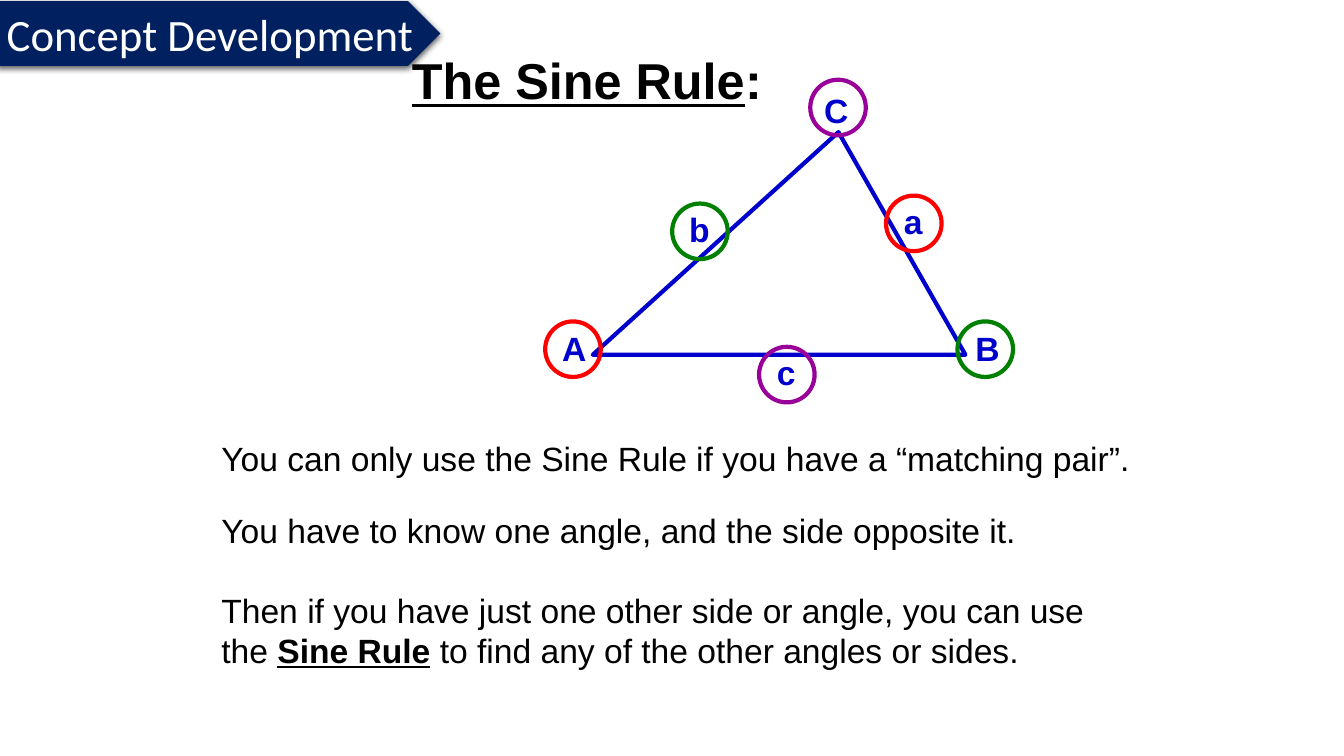
import pptx
import pptx.dml.color
import pptx.enum.shapes
import pptx.enum.text
import pptx.oxml
import pptx.oxml.ns
import pptx.util
from pptx.util import Cm

RGBColor = pptx.dml.color.RGBColor
BLACK = RGBColor(0x00, 0x00, 0x00)
WHITE = RGBColor(0xFF, 0xFF, 0xFF)
BLUE = RGBColor(0x00, 0x00, 0xCC)
NAVY = RGBColor(0x00, 0x20, 0x60)
RED = RGBColor(0xFF, 0x00, 0x00)
GREEN = RGBColor(0x00, 0x80, 0x00)
PURPLE = RGBColor(0x99, 0x00, 0x99)

BANNER_SHADOW = (
    f'<a:outerShdw {pptx.oxml.ns.nsdecls("a")} blurRad="57150" dist="19050" '
    'dir="5400000" algn="ctr" rotWithShape="0"><a:srgbClr val="000000">'
    '<a:alpha val="63000"/></a:srgbClr></a:outerShdw>'
)


class SlideBuilder:
    font_name = "Arial"
    line_width = pptx.util.Pt(3)
    circle_size = Cm(1.4)

    def __init__(self, slide):
        self.slide = slide

    def add_runs(self, paragraph, runs, size, color, font_name=None):
        """Each run is (text, bold, underline)."""
        for text, bold, underline in runs:
            run = paragraph.add_run()
            run.text = text
            font = run.font
            font.name = font_name or self.font_name
            font.size = pptx.util.Pt(size)
            font.bold = bold
            font.underline = underline
            font.color.rgb = color

    def text(self, left, top, width, height, runs, size=24, color=BLACK, wrap=True):
        box = self.slide.shapes.add_textbox(Cm(left), Cm(top), Cm(width), Cm(height))
        box.text_frame.word_wrap = wrap
        self.add_runs(box.text_frame.paragraphs[0], runs, size, color)

    def outline(self, shape, color):
        shape.shadow.inherit = False
        shape.fill.background()
        shape.line.color.rgb = color
        shape.line.width = self.line_width

    def polygon(self, points, color):
        corners = [(Cm(x), Cm(y)) for x, y in points]
        builder = self.slide.shapes.build_freeform(*corners[0])
        builder.add_line_segments(corners[1:], close=True)
        shape = builder.convert_to_shape()
        self.outline(shape, color)
        line = shape._element.spPr.find(pptx.oxml.ns.qn("a:ln"))
        line.append(pptx.oxml.parse_xml(f'<a:round {pptx.oxml.ns.nsdecls("a")}/>'))

    def circle(self, left, top, color):
        shape = self.slide.shapes.add_shape(
            pptx.enum.shapes.MSO_SHAPE.OVAL,
            Cm(left), Cm(top), self.circle_size, self.circle_size)
        self.outline(shape, color)

    def banner(self, left, top, width, height, text):
        shape = self.slide.shapes.add_shape(
            pptx.enum.shapes.MSO_SHAPE.PENTAGON,
            Cm(left), Cm(top), Cm(width), Cm(height))
        shape.shadow.inherit = False
        effects = shape._element.spPr.find(pptx.oxml.ns.qn("a:effectLst"))
        effects.append(pptx.oxml.parse_xml(BANNER_SHADOW))
        shape.fill.solid()
        shape.fill.fore_color.rgb = NAVY
        shape.line.fill.background()
        shape.text_frame.word_wrap = False
        paragraph = shape.text_frame.paragraphs[0]
        paragraph.alignment = pptx.enum.text.PP_ALIGN.LEFT
        self.add_runs(paragraph, [(text, False, False)], 32, WHITE, "Calibri")


def main():
    presentation = pptx.Presentation()
    presentation.slide_width = Cm(33.87)
    presentation.slide_height = Cm(19.05)
    builder = SlideBuilder(presentation.slides.add_slide(presentation.slide_layouts[6]))

    # Title
    builder.text(10.13, 1.12, 12.8, 1.78,
                 [("The Sine Rule", True, True), (":", True, False)], size=36)

    # Triangle
    builder.polygon([(14.94, 8.94), (24.33, 8.94), (21.13, 3.33)], BLUE)

    # Angles and sides: name, label left, top and width, circle left and top, colour
    parts = [
        ("A", 13.92, 8.13, 1.4, 13.74, 8.1, RED),
        ("B", 24.33, 8.13, 1.4, 24.13, 8.1, GREEN),
        ("C", 20.52, 2.13, 1.4, 20.42, 2.01, PURPLE),
        ("a", 22.53, 4.93, 1.0, 22.33, 4.93, RED),
        ("b", 17.12, 5.13, 1.0, 16.94, 5.13, GREEN),
        ("c", 19.33, 8.74, 1.0, 19.13, 8.74, PURPLE),
    ]
    for name, left, top, width, *_ in parts:
        builder.text(left, top, width, 1.27, [(name, True, False)],
                     color=BLUE, wrap=name.isupper())

    # Explanation
    sentences = [
        (10.92, 1.27, [("You can only use the Sine Rule if you have a “matching pair”.",
                        False, False)]),
        (12.73, 1.27, [("You have to know one angle, and the side opposite it.",
                        False, False)]),
        (14.73, 2.31, [("Then if you have just one other side or angle, you can use the ",
                        False, False),
                       ("Sine Rule", True, True),
                       (" to find any of the other angles or sides.", False, False)]),
    ]
    for top, height, runs in sentences:
        builder.text(5.33, top, 23.6, height, runs)

    # Matching pairs share a circle colour
    for *_, left, top, color in parts:
        builder.circle(left, top, color)

    # Section banner
    builder.banner(-0.08, 0.03, 11.18, 1.63, "Concept Development")

    presentation.save("out.pptx")


if __name__ == "__main__":
    main()
